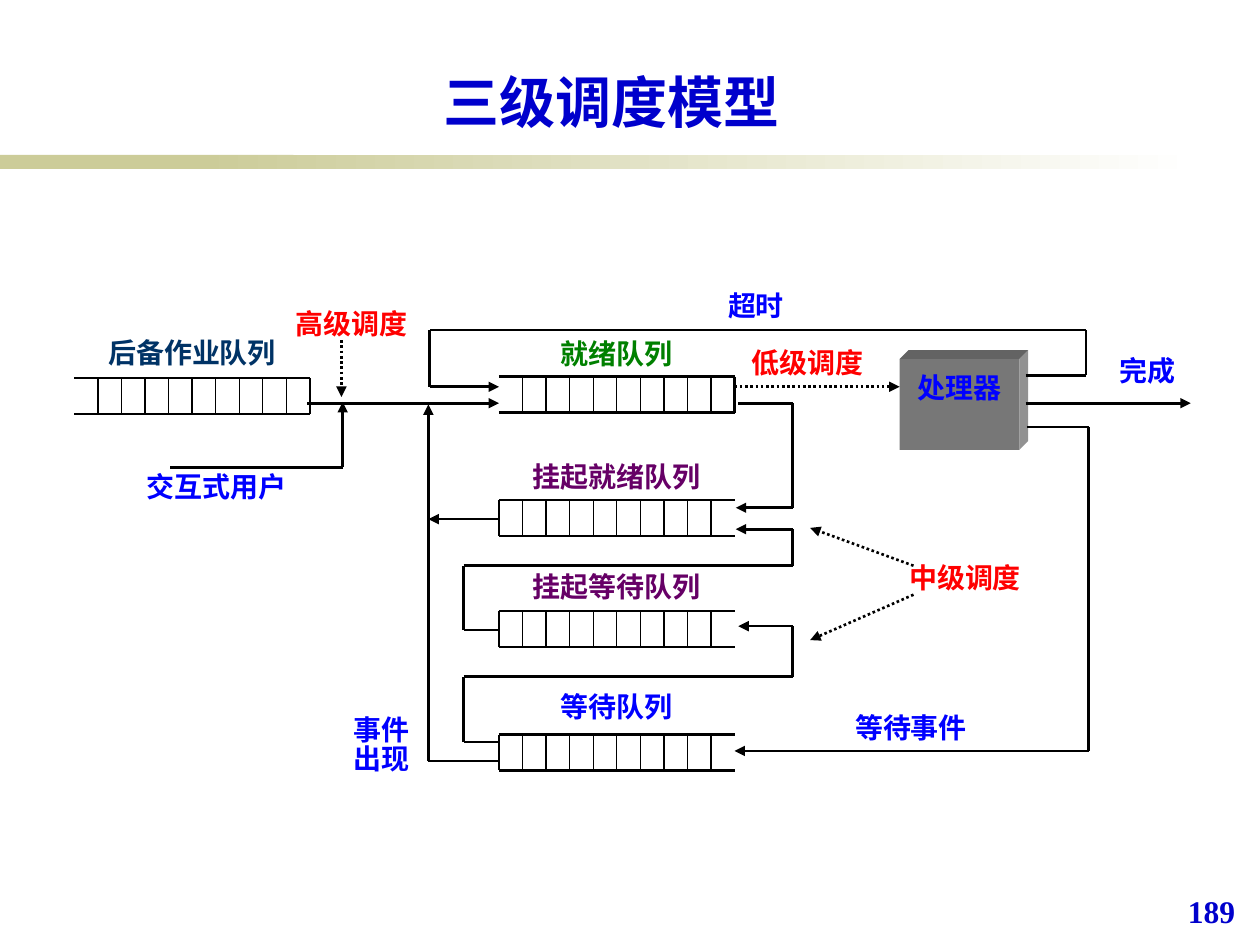
from itertools import pairwise
from pptx import Presentation, util as u
from pptx.dml.color import RGBColor
from pptx.enum import dml, shapes, text
from pptx.oxml.ns import qn

COLORS = {
    "black": "000000", "title": "0000CC", "blue": "0000FF", "red": "FF0000",
    "green": "008000", "purple": "660066", "navy": "003366", "khaki": "CCCC99",
    "white": "FFFFFF", "front": "777777", "top": "636363", "side": "929292",
}
SANS = "Noto Sans CJK SC"
COLUMNS = 100
CELLS, QUEUE_W, QUEUE_H = 10, 18.7, 2.85

TITLE = "三级调度模型"
PAGE = "189"
# name, colour, left, top, label top, closed side
QUEUES = [
    ("后备作业队列", "navy", 5.9, 30, 27, "right"),
    ("就绪队列", "green", 39.6, 29.9, 27.1, "right"),
    ("挂起就绪队列", "purple", 39.6, 39.7, 36.9, "left"),
    ("挂起等待队列", "purple", 39.6, 48.5, 45.6, "left"),
    ("等待队列", "blue", 39.6, 58.3, 55.1, "left"),
]
LABELS = [
    ("低级调度", "red", (59.1, 27.8, 10, 2.1)),
    ("高级调度", "red", (23.1, 24.7, 9.6, 3.2)),
    ("中级调度", "red", (71.1, 44.9, 11, 3)),
    ("完成", "blue", (87.6, 28.5, 6.9, 3.5)),
    ("超时", "blue", (44.3, 23.3, 31.4, 2.9)),
    ("等待事件", "blue", (63.9, 56.8, 16.8, 2.9)),
    ("交互式用户", "blue", (11.4, 37.7, 11.6, 3)),
    ("事件\n出现", "blue", (26.5, 57, 7.5, 5.7)),
]
ARROWS = [
    [(24.4, 32), (39.6, 32)],
    [(81.4, 32), (94.5, 32)],
    [(13.5, 37.1), (27.2, 37.1), (27.2, 31.9)],
    [(81.4, 29.8), (86.2, 29.8), (86.2, 26.2), (34.1, 26.2), (34.1, 30.7), (39.6, 30.7)],
    [(81.5, 33.9), (86.4, 33.9), (86.4, 59.6), (58.3, 59.6)],
    [(39.6, 60.4), (34, 60.4), (34, 32.1)],
    [(39.6, 41.2), (34, 41.2)],
    [(58.6, 32), (62.9, 32), (62.9, 40.3), (58.4, 40.3)],
    [(39.6, 50), (36.8, 50), (36.8, 44.9), (62.9, 44.9), (62.9, 42), (58.4, 42)],
    [(39.6, 58.9), (36.8, 58.9), (36.8, 53.7), (62.9, 53.7), (62.9, 49.7), (58.6, 49.7)],
]
DOTTED = [
    [(58.3, 30.7), (71.4, 30.7)],
    [(27.1, 27), (27.1, 31.5)],
    [(72.5, 44.9), (64.3, 41.9)],
    [(72.5, 47.2), (64.3, 50.8)],
]
CPU = ("处理器", 71.4, 28.5, 9.5, 7.2, 0.7)

prs = Presentation()
prs.slide_width, prs.slide_height = u.Inches(10), u.Inches(7.5)
UNIT = prs.slide_width / COLUMNS
s = prs.slides.add_slide(prs.slide_layouts[5])


def grid(*values):
    return [round(v * UNIT) for v in values]


def rgb(name):
    return RGBColor.from_string(COLORS[name])


def write(sp, words, color="blue", size=16, font=SANS, align=text.PP_ALIGN.CENTER,
          anchor=text.MSO_ANCHOR.TOP, margins=(0, 0, 0, 0), spacing=0.85):
    tf = sp.text_frame
    tf.auto_size, tf.word_wrap = text.MSO_AUTO_SIZE.NONE, True
    tf.vertical_anchor = anchor
    tf.margin_left, tf.margin_top, tf.margin_right, tf.margin_bottom = grid(*margins)
    tf.text = words
    for p in tf.paragraphs:
        p.alignment, p.line_spacing = align, spacing
        for r in p.runs:
            r.font.size, r.font.bold, r.font.name = u.Pt(size), True, font
            r.font.color.rgb = rgb(color)
            ea = r.font._element.makeelement(qn("a:ea"), {"typeface": font})
            r.font._element.find(qn("a:latin")).addnext(ea)


def label(words, box, **fmt):
    write(s.shapes.add_textbox(*grid(*box)), words, **fmt)


def plain(sp, color):
    sp.shadow.inherit = False
    sp.line.fill.background()
    sp.fill.solid()
    sp.fill.fore_color.rgb = rgb(color)
    return sp


def rect(box, color):
    return plain(s.shapes.add_shape(shapes.MSO_SHAPE.RECTANGLE, *grid(*box)), color)


def face(points, color):
    corners = [tuple(grid(*pt)) for pt in points]
    fb = s.shapes.build_freeform(*corners[0], scale=1)
    fb.add_line_segments(corners[1:], close=True)
    plain(fb.convert_to_shape(), color)


def line(start, end, width=1.5, dotted=False, arrow=False):
    c = s.shapes.add_connector(shapes.MSO_CONNECTOR.STRAIGHT, *grid(*start, *end))
    c.line.width, c.line.color.rgb = u.Pt(width), rgb("black")
    if dotted:
        c.line.dash_style = dml.MSO_LINE.ROUND_DOT
    ln = c.line._get_or_add_ln()
    if arrow:
        ln.append(ln.makeelement(qn("a:tailEnd"), {"type": "triangle"}))
    ln.addnext(ln.makeelement(qn("a:effectLst"), {}))


def route(points, dotted=False):
    legs = list(pairwise(points))
    for i, (start, end) in enumerate(legs, 1):
        line(start, end, dotted=dotted, arrow=i == len(legs))


def queue(name, color, left, top, label_top, closed):
    right, bottom = left + QUEUE_W, top + QUEUE_H
    for y in (top, bottom):
        line((left, y), (right, y))
    end = right if closed == "right" else left
    line((end, top), (end, bottom))
    for i in range(1, CELLS):
        x = left + i * QUEUE_W / CELLS
        line((x, top), (x, bottom), width=0.75)
    label(name, (left, label_top, QUEUE_W, 2.9), color=color)


def processor(name, x, y, w, h, d):
    r, b = x + w, y + h
    face([(x, y), (x + d, y - d), (r + d, y - d), (r, y)], "top")
    face([(r, y), (r + d, y - d), (r + d, b - d), (r, b)], "side")
    write(rect((x, y, w, h), "front"), name, margins=(0, 1.3, 0, 0.5))


rect((0, 12.3, 23.3, 1.1), "khaki")
fade = rect((15.8, 12.3, 79.2, 1.1), "khaki")
fade.fill.gradient()
fade.fill.gradient_angle = 0
for stop, color, position in zip(fade.fill.gradient_stops, ("khaki", "white"), (0, 1)):
    stop.color.rgb, stop.position = rgb(color), position

title = s.shapes.title
title.left, title.top, title.width, title.height = grid(8.3, 4.4, 80.5, 6.3)
write(title, TITLE, color="title", size=32, font="Noto Sans CJK JP",
      anchor=text.MSO_ANCHOR.BOTTOM, spacing=1)
label(PAGE, (93.3, 70.3, 6.4, 4.6), color="title", size=18, font="Times New Roman",
      align=text.PP_ALIGN.LEFT, margins=(1, 0.5, 0, 0.5), spacing=1)

for row in QUEUES:
    queue(*row)
processor(*CPU)
for points in ARROWS:
    route(points)
for points in DOTTED:
    route(points, dotted=True)
for words, color, box in LABELS:
    label(words, box, color=color)

prs.save("out.pptx")
